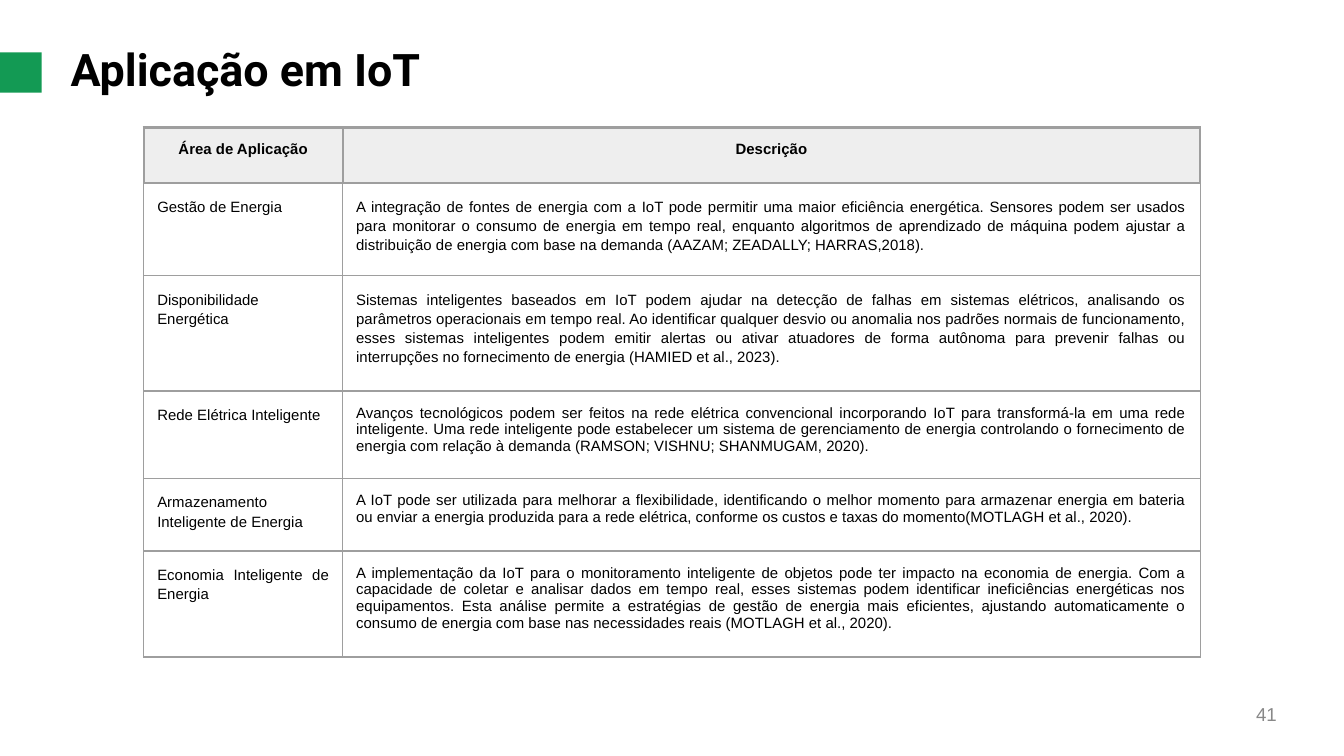
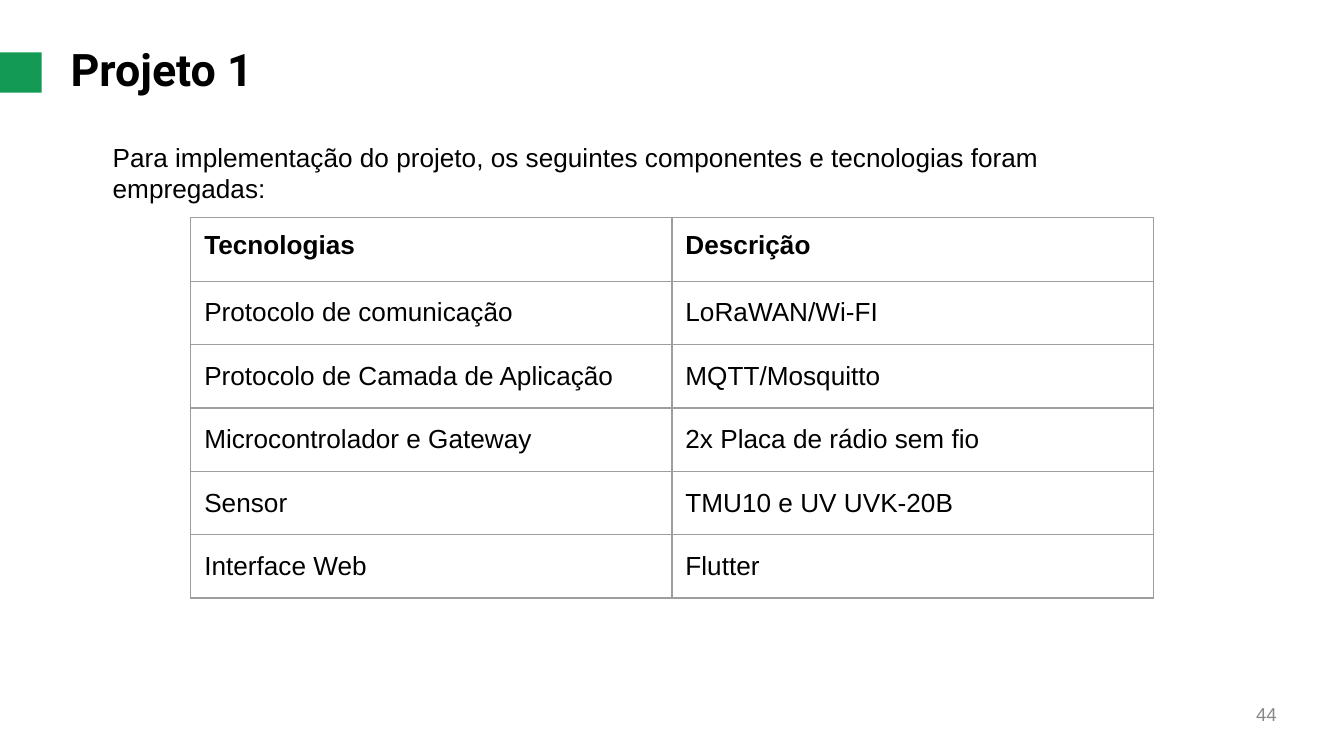
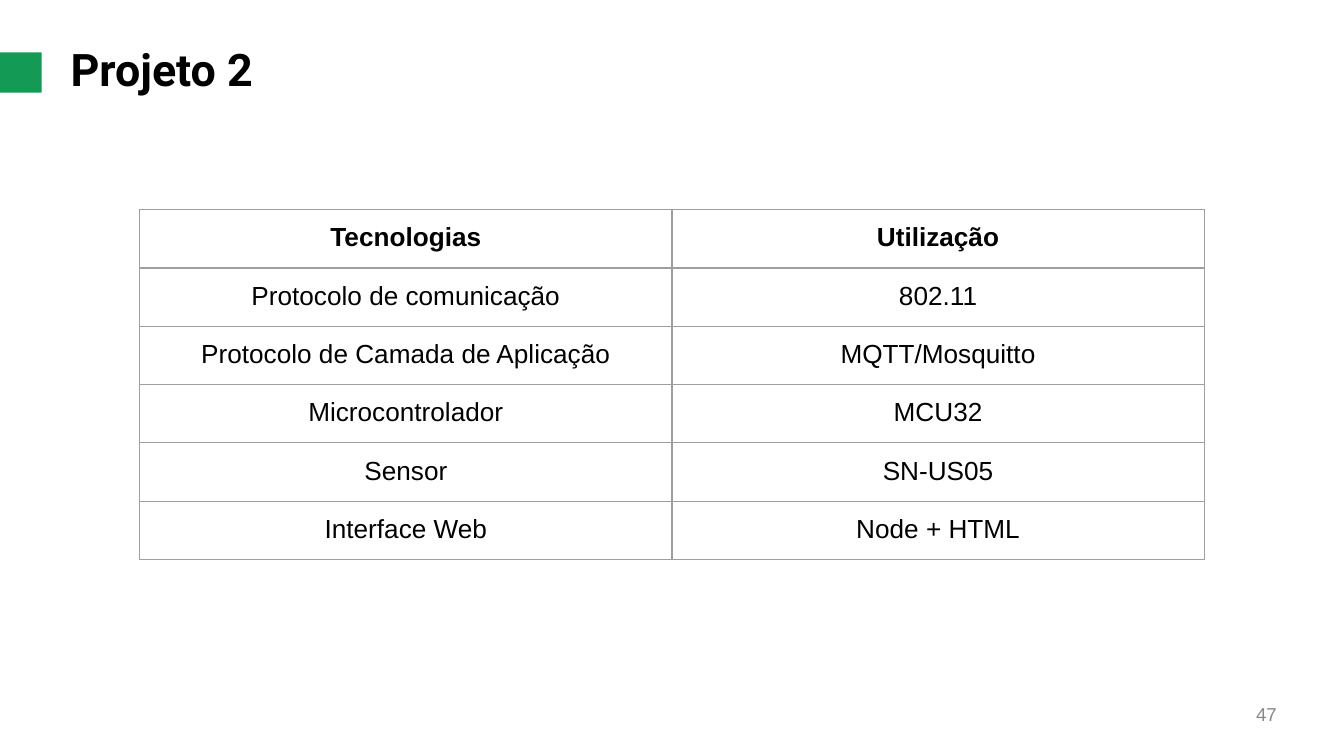
"""Build three slides on IoT applications and the technologies of two projects."""
from lxml import etree
from pptx import Presentation
from pptx.dml.color import RGBColor
from pptx.enum.shapes import MSO_SHAPE
from pptx.enum.text import MSO_ANCHOR, PP_ALIGN
from pptx.oxml.ns import qn
from pptx.util import Inches, Pt

LEFT, CENTER, RIGHT, JUSTIFY = PP_ALIGN.LEFT, PP_ALIGN.CENTER, PP_ALIGN.RIGHT, PP_ALIGN.JUSTIFY
TOP, MIDDLE = MSO_ANCHOR.TOP, MSO_ANCHOR.MIDDLE
RECTANGLE = MSO_SHAPE.RECTANGLE

COLORS = {"ink": "000000", "accent": "139A54", "number": "888888",
          "border": "9E9E9E", "header": "EEEEEE"}
BODY_FONT, TITLE_FONT = "Arial", "Roboto"

deck = Presentation()
deck.slide_width, deck.slide_height = Inches(10), Inches(5.625)
UNIT = deck.slide_width / 100


def write(frame, text, size, align=LEFT, font=BODY_FONT, color="ink", bold=False, spacing=1.0):
    """Fill a text frame, one paragraph per line of text."""
    frame.word_wrap = True
    for index, line in enumerate(text.split("\n")):
        paragraph = frame.add_paragraph() if index else frame.paragraphs[0]
        paragraph.alignment = align
        paragraph.line_spacing = spacing
        run = paragraph.add_run()
        run.text = line
        run.font.size, run.font.name, run.font.bold = Pt(size), font, bold
        run.font.color.rgb = RGBColor.from_string(COLORS[color])


def place_text(slide, box, text, size, inset=(0, 0), **style):
    """Add a text box, with its place and insets in grid units."""
    frame = slide.shapes.add_textbox(*(round(v * UNIT) for v in box)).text_frame
    frame.margin_left = frame.margin_right = round(inset[0] * UNIT)
    frame.margin_top = round(inset[1] * UNIT)
    frame.margin_bottom = round(inset[0] * UNIT)
    write(frame, text, size, **style)


pages = [
    {
        "title": "Aplicação em IoT", "number": "41", "intro": None,
        "origin": (10.7, 9.5), "columns": [14.8, 63.8],
        "heights": [4.1, 6.9, 8.6, 6.5, 5.4, 7.9],
        "size": 8, "header_align": CENTER, "align": JUSTIFY, "anchor": TOP,
        "header_fill": True, "header_line": 1.5, "loose_rows": (1, 2), "label_spacing": 1.15,
        "rows": [
            ("Área de Aplicação", "Descrição"),
            ("Gestão de Energia",
             "A integração de fontes de energia com a IoT pode permitir uma maior eficiência "
             "energética. Sensores podem ser usados para monitorar o consumo de energia em tempo "
             "real, enquanto algoritmos de aprendizado de máquina podem ajustar a distribuição de "
             "energia com base na demanda (AAZAM; ZEADALLY; HARRAS,2018)."),
            ("Disponibilidade Energética",
             "Sistemas inteligentes baseados em IoT podem ajudar na detecção de falhas em sistemas "
             "elétricos, analisando os parâmetros operacionais em tempo real. Ao identificar "
             "qualquer desvio ou anomalia nos padrões normais de funcionamento, esses sistemas "
             "inteligentes podem emitir alertas ou ativar atuadores de forma autônoma para prevenir "
             "falhas ou interrupções no fornecimento de energia (HAMIED et al., 2023)."),
            ("Rede Elétrica Inteligente",
             "Avanços tecnológicos podem ser feitos na rede elétrica convencional incorporando IoT "
             "para transformá-la em uma rede inteligente. Uma rede inteligente pode estabelecer um "
             "sistema de gerenciamento de energia controlando o fornecimento de energia com relação "
             "à demanda (RAMSON; VISHNU; SHANMUGAM, 2020)."),
            ("Armazenamento\nInteligente de Energia",
             "A IoT pode ser utilizada para melhorar a flexibilidade, identificando o melhor momento "
             "para armazenar energia em bateria ou enviar a energia produzida para a rede elétrica, "
             "conforme os custos e taxas do momento(MOTLAGH et al., 2020)."),
            ("Economia Inteligente de Energia",
             "A implementação da IoT para o monitoramento inteligente de objetos pode ter impacto na "
             "economia de energia. Com a capacidade de coletar e analisar dados em tempo real, esses "
             "sistemas podem identificar ineficiências energéticas nos equipamentos. Esta análise "
             "permite a estratégias de gestão de energia mais eficientes, ajustando automaticamente "
             "o consumo de energia com base nas necessidades reais (MOTLAGH et al., 2020)."),
        ],
    },
    {
        "title": "Projeto 1", "number": "44",
        "intro": "Para implementação do projeto, os seguintes componentes e tecnologias foram "
                 "empregadas:",
        "origin": (14.2, 16.2), "columns": [35.8] * 2, "heights": [4.72] * 6,
        "size": 14, "header_align": LEFT, "align": LEFT, "anchor": MIDDLE,
        "header_fill": False, "header_line": 0.75, "loose_rows": (), "label_spacing": 1.0,
        "rows": [
            ("Tecnologias", "Descrição"),
            ("Protocolo de comunicação", "LoRaWAN/Wi-FI"),
            ("Protocolo de Camada de Aplicação", "MQTT/Mosquitto"),
            ("Microcontrolador e Gateway", "2x Placa de rádio sem fio"),
            ("Sensor", "TMU10 e UV UVK-20B"),
            ("Interface Web", "Flutter"),
        ],
    },
    {
        "title": "Projeto 2", "number": "47", "intro": None,
        "origin": (10.4, 15.6), "columns": [39.6] * 2, "heights": [4.33] * 6,
        "size": 14, "header_align": CENTER, "align": CENTER, "anchor": TOP,
        "header_fill": False, "header_line": 0.75, "loose_rows": (), "label_spacing": 1.0,
        "rows": [
            ("Tecnologias", "Utilização"),
            ("Protocolo de comunicação", "802.11"),
            ("Protocolo de Camada de Aplicação", "MQTT/Mosquitto"),
            ("Microcontrolador", "MCU32"),
            ("Sensor", "SN-US05"),
            ("Interface Web", "Node + HTML"),
        ],
    },
]

for page in pages:
    slide = deck.slides.add_slide(deck.slide_layouts[6])
    place_text(slide, (72, 52.3, 23, 1.7), page["number"], 10, align=RIGHT, color="number")
    place_text(slide, (5.25, 3, 74.2, 4.2), page["title"], 24, inset=(0, 0.1),
               font=TITLE_FONT, bold=True)
    accent = slide.shapes.add_shape(RECTANGLE, 0, *(round(v * UNIT) for v in (3.9, 3.1, 3)))
    accent.shadow.inherit = False
    accent.fill.solid()
    accent.fill.fore_color.rgb = RGBColor.from_string(COLORS["accent"])
    accent.line.fill.background()

    extent = (*page["origin"], sum(page["columns"]), sum(page["heights"]))
    table = slide.shapes.add_table(len(page["rows"]), len(page["columns"]),
                                   *(round(v * UNIT) for v in extent)).table
    table.first_row = table.horz_banding = False
    for column, width in zip(table.columns, page["columns"]):
        column.width = round(width * UNIT)

    for row, texts in enumerate(page["rows"]):
        table.rows[row].height = round(page["heights"][row] * UNIT)
        is_header = row == 0
        for col, text in enumerate(texts):
            cell = table.cell(row, col)
            cell.margin_left = cell.margin_right = round(UNIT)
            cell.margin_top = cell.margin_bottom = round(UNIT)
            cell.vertical_anchor = TOP if is_header else page["anchor"]
            loose = row in page["loose_rows"] or (col == 0 and not is_header)
            write(cell.text_frame, text, page["size"], bold=is_header,
                  align=page["header_align"] if is_header else page["align"],
                  spacing=page["label_spacing"] if loose else 1.0)
            if is_header and page["header_fill"]:
                cell.fill.solid()
                cell.fill.fore_color.rgb = RGBColor.from_string(COLORS["header"])
            else:
                cell.fill.background()
            properties = cell._tc.get_or_add_tcPr()
            for index, side in enumerate(("lnL", "lnR", "lnT", "lnB")):
                heavy = is_header or (row == 1 and side == "lnT")
                border = etree.Element(qn(f"a:{side}"))
                border.set("w", str(Pt(page["header_line"] if heavy else 0.75)))
                paint = etree.SubElement(border, qn("a:solidFill"))
                etree.SubElement(paint, qn("a:srgbClr")).set("val", COLORS["border"])
                properties.insert(index, border)

    if page["intro"]:
        place_text(slide, (7.4, 9.5, 82.7, 4.4), page["intro"], 14, inset=(1, 1))

deck.save("out.pptx")
